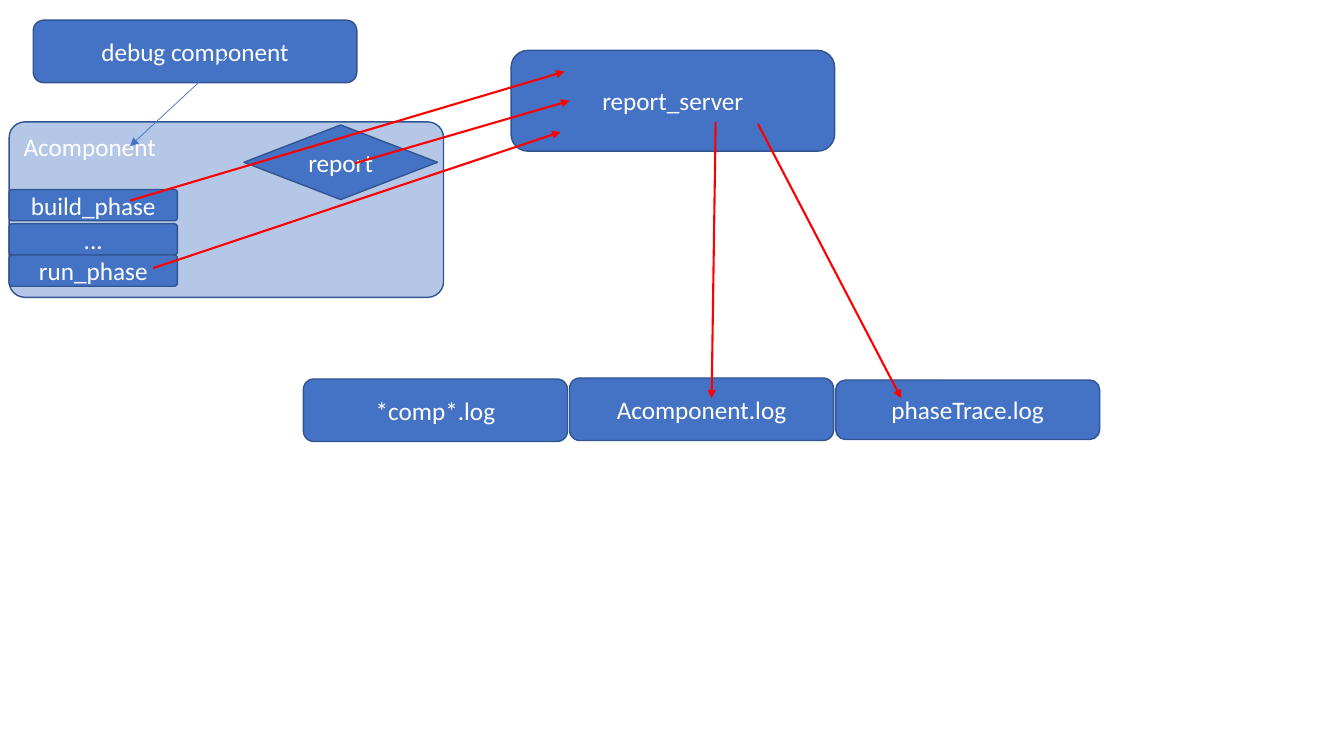
from lxml import etree
from pptx import Presentation
from pptx.dml.color import RGBColor
from pptx.enum.shapes import MSO_CONNECTOR, MSO_SHAPE
from pptx.enum.text import MSO_ANCHOR, PP_ALIGN
from pptx.oxml.ns import qn
from pptx.util import Inches, Pt

ROUNDED, DIAMOND = MSO_SHAPE.ROUNDED_RECTANGLE, MSO_SHAPE.DIAMOND
STRAIGHT = MSO_CONNECTOR.STRAIGHT
TOP, MIDDLE = MSO_ANCHOR.TOP, MSO_ANCHOR.MIDDLE
LEFT, CENTER = PP_ALIGN.LEFT, PP_ALIGN.CENTER

COLORS = {"box": "4472C4", "panel": "B4C7E7", "edge": "325491",
          "text": "FFFFFF", "report": "FF0000"}
FONT = "Calibri"
SLIDE_WIDTH, SLIDE_HEIGHT = Inches(13.33), Inches(7.5)
COLUMNS, ROWS = 160, 90

# Boxes are (column, row, columns wide, rows high)
DEBUG_BOX = (3.96, 2.4, 38.52, 7.44)
COMPONENT_BOX = (1.08, 14.52, 51.72, 20.88)
SERVER_BOX = (60.84, 6, 38.52, 12)
LOGS_BOX = (36.12, 45, 94.8, 7.56)

# Report arrows run from one (column, row) point to another
REPORT_ARROWS = [
    ((42.24, 19.44), (67.8, 12)),
    ((15.48, 23.88), (67.2, 8.52)),
    ((18.24, 31.92), (66.72, 15.72)),
    ((85.2, 14.52), (84.72, 47.4)),
    ((90.24, 14.76), (107.28, 47.4)),
]
DEBUG_ARROW = ((27, 6.72), (15.48, 17.4))


def color(name):
    """Return the named colour."""
    return RGBColor.from_string(COLORS[name])


def across(columns):
    """Turn grid columns into a length."""
    return round(SLIDE_WIDTH * columns / COLUMNS)


def down(rows):
    """Turn grid rows into a length."""
    return round(SLIDE_HEIGHT * rows / ROWS)


def add_node(page, box, label, kind=ROUNDED, fill="box", rounding=None,
             anchor=MIDDLE, align=CENTER):
    """Draw one labelled shape that fills the box."""
    left, top, width, height = box
    node = page.shapes.add_shape(kind, across(left), down(top),
                                 across(width), down(height))
    if rounding is not None:
        node.adjustments[0] = rounding
    node.shadow.inherit = False
    node.fill.solid()
    node.fill.fore_color.rgb = color(fill)
    node.line.color.rgb = color("edge")
    node.line.width = Pt(1)
    frame = node.text_frame
    frame.text = label
    frame.word_wrap = True
    frame.vertical_anchor = anchor
    para = frame.paragraphs[0]
    para.alignment = align
    font = para.runs[0].font
    font.name, font.size, font.color.rgb = FONT, Pt(18), color("text")


def add_arrow(page, start, end, tint, weight):
    """Draw a straight arrow that points at the end."""
    arrow = page.shapes.add_connector(STRAIGHT, across(start[0]), down(start[1]),
                                      across(end[0]), down(end[1]))
    arrow.line.color.rgb = color(tint)
    arrow.line.width = Pt(weight)
    head = etree.SubElement(arrow.line._get_or_add_ln(), qn("a:tailEnd"))
    head.set("type", "triangle")
    etree.SubElement(arrow._element.spPr, qn("a:effectLst"))


def add_component(page, box):
    """Draw the component panel with its report step and phases."""
    left, top = box[:2]
    add_node(page, box, "Acomponent", fill="panel", rounding=0.09,
             anchor=TOP, align=LEFT)
    add_node(page, (left + 27.96, top + 0.36, 23.04, 8.88), "report", DIAMOND)
    phases = [("build_phase", 8.04), ("...", 12.12), ("run_phase", 15.84)]
    for label, row in phases:
        add_node(page, (left, top + row, 20.04, 3.72), label, rounding=0.1)


def add_logs(page, box):
    """Draw the row of log files at an equal pitch."""
    left, top, width, height = box
    gap = 0.24
    log_width = (width - 2 * gap) / 3
    logs = [("*comp*.log", 0.12, 7.44), ("Acomponent.log", 0, 7.44),
            ("phaseTrace.log", 0.24, 7.08)]
    for index, (label, row, log_height) in enumerate(logs):
        log_left = left + index * (log_width + gap)
        add_node(page, (log_left, top + row, log_width, log_height), label)


def add_arrows(page):
    """Draw the report flow and the debug link over the boxes."""
    for start, end in REPORT_ARROWS:
        add_arrow(page, start, end, "report", 1.5)
    add_arrow(page, *DEBUG_ARROW, "box", 0.5)


def main():
    """Build the slide and save the deck."""
    deck = Presentation()
    deck.slide_width, deck.slide_height = SLIDE_WIDTH, SLIDE_HEIGHT
    page = deck.slides.add_slide(deck.slide_layouts[6])
    add_component(page, COMPONENT_BOX)
    add_node(page, SERVER_BOX, "report_server")
    add_logs(page, LOGS_BOX)
    add_node(page, DEBUG_BOX, "debug component")
    add_arrows(page)
    deck.save("out.pptx")


main()
